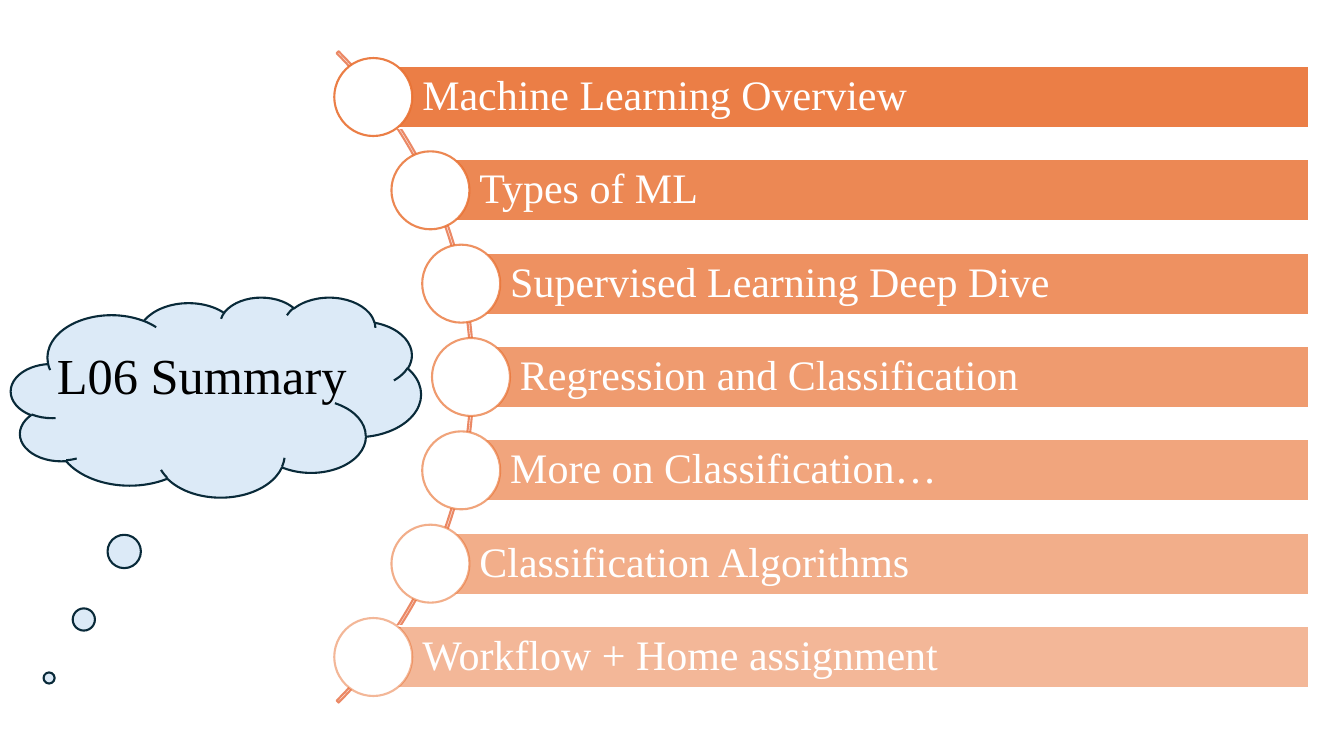
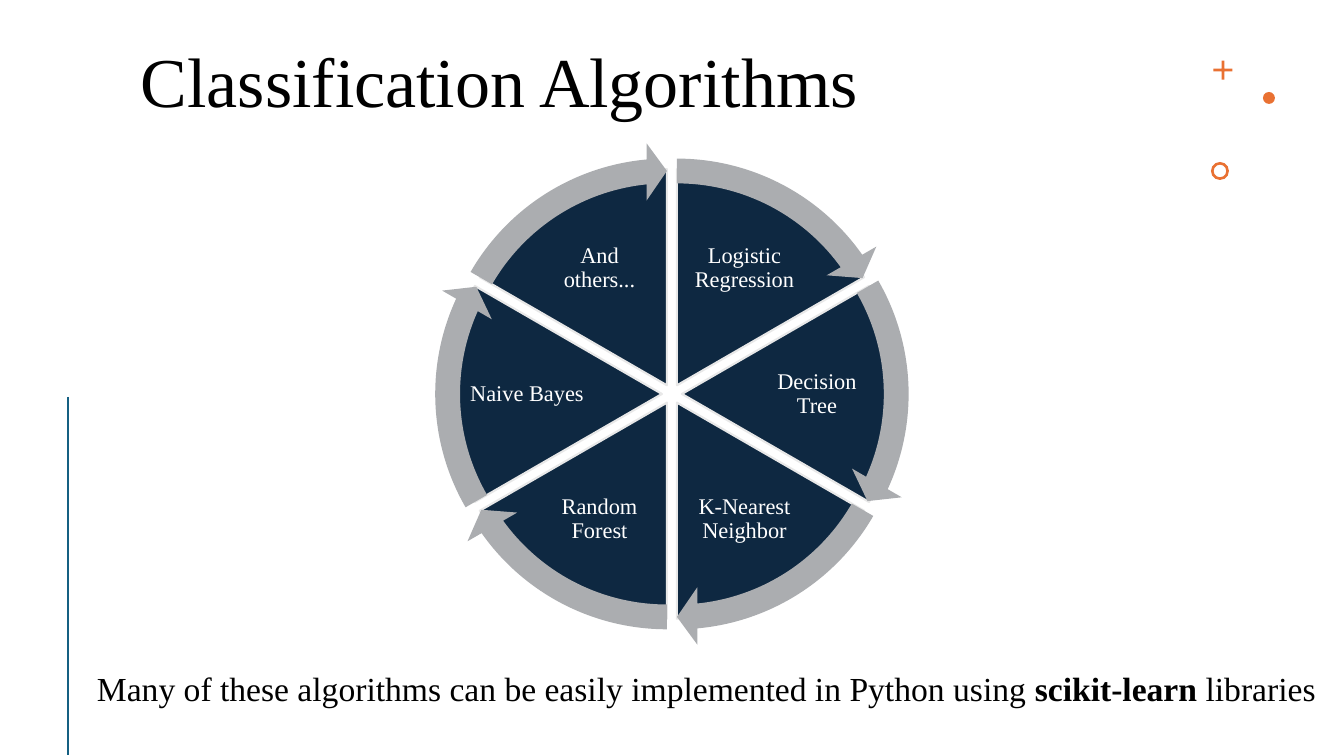
import math
from dataclasses import dataclass

from lxml import etree
from pptx import Presentation, util as u
from pptx.dml.color import RGBColor
from pptx.enum import shapes, text
from pptx.oxml.ns import qn

EMU_PER_PX = 914400 / 100.8
KIND = shapes.MSO_SHAPE
ALIGN = text.PP_ALIGN
ANCHOR = text.MSO_ANCHOR


@dataclass(frozen=True)
class Theme:
    font: str = "Times New Roman"
    paper: str = "FFFFFF"
    ink: str = "000000"
    orange: str = "E97132"
    arc: str = "EB8966"
    cloud: str = "DCEAF7"
    cloud_edge: str = "092A39"
    navy: str = "0E2841"
    pale_edge: str = "E8E8E8"
    gray: str = "ABADB0"
    teal: str = "156082"
    title_size: int = 50
    cloud_size: int = 36
    topic_size: int = 30
    note_size: int = 24
    wedge_size: int = 16


THEME = Theme()


def px(length):
    return u.Emu(round(length * EMU_PER_PX))


def rgb(code):
    return RGBColor.from_string(code)


def write(frame, content, *, size, color=THEME.ink, align=ALIGN.LEFT,
          anchor=ANCHOR.TOP, spacing=0.9, insets=(10, 5, 10, 5)):
    """Fill a frame with a string, or with (string, bold) pairs."""
    frame.word_wrap = True
    frame.vertical_anchor = anchor
    (frame.margin_left, frame.margin_top,
     frame.margin_right, frame.margin_bottom) = map(px, insets)
    paragraph = frame.paragraphs[0]
    paragraph.alignment = align
    paragraph.line_spacing = spacing
    pieces = [(content, False)] if isinstance(content, str) else content
    for piece, bold in pieces:
        run = paragraph.add_run()
        run.text = piece
        run.font.name = THEME.font
        run.font.size = u.Pt(size)
        run.font.bold = bold
        run.font.color.rgb = rgb(color)


class Deck:
    """Holds the presentation, its style and the slide being drawn."""

    def __init__(self, width, height):
        self.prs = Presentation()
        self.prs.slide_width, self.prs.slide_height = px(width), px(height)
        self.slide = None

    def new_slide(self):
        self.slide = self.prs.slides.add_slide(self.prs.slide_layouts[6])
        background = self.slide.background.fill
        background.solid()
        background.fore_color.rgb = rgb(THEME.paper)

    def shape(self, kind, x, y, w, h, fill=None, line=None, adj=(),
              fill_alpha=None, line_alpha=None):
        shape = self.slide.shapes.add_shape(kind, px(x), px(y), px(w), px(h))
        shape.shadow.inherit = False
        for index, value in enumerate(adj):
            shape.adjustments[index] = value
        if fill:
            shape.fill.solid()
            shape.fill.fore_color.rgb = rgb(fill)
        else:
            shape.fill.background()
        if line:
            shape.line.color.rgb = rgb(line)
            shape.line.width = u.Pt(1.5)
        else:
            shape.line.fill.background()
        self.fade(shape, (), fill_alpha)
        self.fade(shape, ("a:ln",), line_alpha)
        return shape

    def fade(self, shape, parents, percent):
        if percent is not None:
            steps = (*parents, "a:solidFill", "a:srgbClr")
            color = shape.element.spPr.find("/".join(map(qn, steps)))
            etree.SubElement(color, qn("a:alpha")).set("val", str(round(percent * 1000)))

    def centered(self, kind, cx, cy, size, **style):
        return self.shape(kind, cx - size / 2, cy - size / 2, size, size, **style)

    def label(self, content, x, y, w, h, **style):
        box = self.slide.shapes.add_textbox(px(x), px(y), px(w), px(h))
        write(box.text_frame, content, **style)

    def line(self, x1, y1, x2, y2, color, width):
        line = self.slide.shapes.add_connector(
            shapes.MSO_CONNECTOR.STRAIGHT, px(x1), px(y1), px(x2), px(y2))
        line.line.color.rgb = rgb(color)
        line.line.width = u.Pt(width)
        etree.SubElement(line.element.spPr, qn("a:effectLst"))


def summary_slide(deck):
    deck.new_slide()

    # Thought cloud with the title
    deck.shape(KIND.CLOUD_CALLOUT, 11, 297, 410, 200, fill=THEME.cloud,
               line=THEME.cloud_edge, adj=(-0.407, 1.405))
    deck.label("L06 Summary", 47, 340, 364, 76, size=THEME.cloud_size,
               anchor=ANCHOR.MIDDLE)

    # Arc behind the topics
    middle_y = 377
    deck.centered(KIND.BLOCK_ARC, 13, middle_y, 921, line=THEME.arc,
                  adj=(189, 27, 0.003))

    # Topics: evenly spaced bars that start on a curve and fade downwards
    topics = ("Machine Learning Overview", "Types of ML",
              "Supervised Learning Deep Dive", "Regression and Classification",
              "More on Classification…", "Classification Algorithms",
              "Workflow + Home assignment")
    curve_x, curve_radius = 21, 450
    bar_right, bar_height, knob = 1309, 62, 78
    last = len(topics) - 1
    for index, topic in enumerate(topics):
        dy = 560 * (index / last - 0.5)
        x = curve_x + math.sqrt(curve_radius ** 2 - dy ** 2)
        y = middle_y + dy
        alpha = 90 - 40 * index / last
        bar = deck.shape(KIND.RECTANGLE, x, y - bar_height / 2, bar_right - x,
                         bar_height, fill=THEME.orange, line=THEME.paper,
                         fill_alpha=alpha)
        write(bar.text_frame, topic, size=THEME.topic_size, color=THEME.paper,
              anchor=ANCHOR.MIDDLE, insets=(49, 8, 8, 8))
        deck.centered(KIND.OVAL, x, y, knob, fill=THEME.paper,
                      line=THEME.orange, line_alpha=alpha)


def algorithms_slide(deck):
    deck.new_slide()
    deck.label("Classification Algorithms", 131, 42, 1031, 132,
               size=THEME.title_size)

    # Corner ornaments and side line
    deck.centered(KIND.CROSS, 1223, 70, 19, fill=THEME.orange, adj=(0.43,))
    deck.centered(KIND.OVAL, 1269, 98, 12, fill=THEME.orange)
    deck.centered(KIND.DONUT, 1220, 171, 18, fill=THEME.orange, adj=(0.15,))
    deck.line(68, 397, 68, 755, THEME.teal, 2)

    # Wheel: each wedge is pushed outwards along its own middle angle
    algorithms = ("Logistic Regression", "Decision Tree", "K-Nearest Neighbor",
                  "Random Forest", "Naive Bayes", "And others...")
    wheel_x, wheel_y = 672, 394
    turn, step = 216, 36  # full circle and one wedge, in adjustment units

    def spot(index, distance):
        angle = math.radians(60 * index - 60)
        return (wheel_x + distance * math.cos(angle),
                wheel_y + distance * math.sin(angle))

    starts = [(162 + step * index) % turn for index in range(len(algorithms))]
    for index, (name, start) in enumerate(zip(algorithms, starts)):
        deck.centered(KIND.PIE, *spot(index, 10), 432, fill=THEME.navy,
                      line=THEME.pale_edge, adj=(start, (start + step) % turn))
        x, y = spot(index, 145)
        deck.label(name, x - 59, y - 43, 118, 86, size=THEME.wedge_size,
                   color=THEME.paper, align=ALIGN.CENTER,
                   anchor=ANCHOR.MIDDLE, insets=(2, 2, 2, 2))

    # Arrows around the wheel
    head = 3.275
    for index, start in enumerate(starts):
        tip = (start + step - head) % turn
        deck.centered(KIND.CIRCULAR_ARROW, *spot(index, 10), 486,
                      fill=THEME.gray, adj=(0.051, head, tip, start, 0.059))

    # Closing note
    deck.label([("Many of these algorithms can be easily implemented in Python using ", False),
                ("scikit-learn", True), (" libraries", False)],
               87, 663, 1246, 50, size=THEME.note_size, spacing=1.0)


def main():
    deck = Deck(1344, 756)
    summary_slide(deck)
    algorithms_slide(deck)
    deck.prs.save("out.pptx")


if __name__ == "__main__":
    main()
